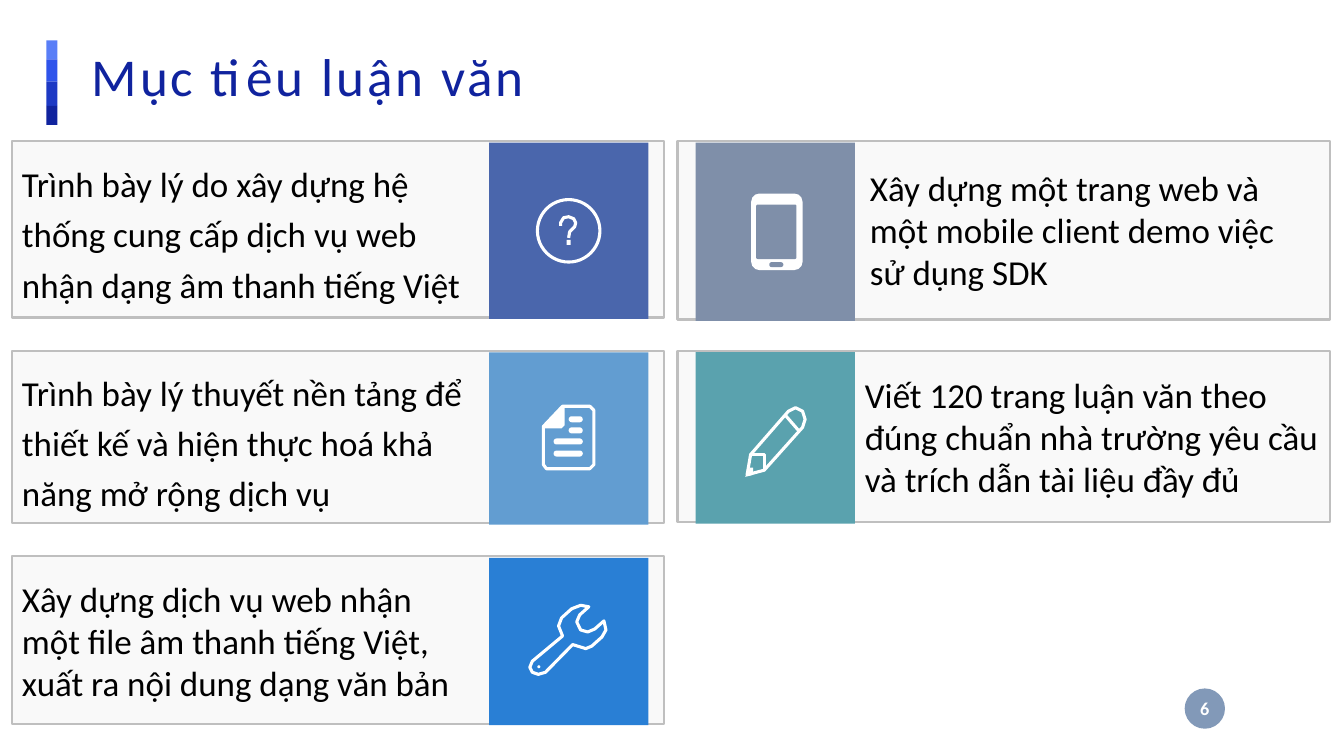
from pptx import Presentation
from pptx.dml.color import RGBColor
from pptx.enum.shapes import MSO_SHAPE
from pptx.enum.text import MSO_ANCHOR, MSO_AUTO_SIZE, PP_ALIGN
from pptx.oxml.ns import qn
from pptx.util import Inches, Pt
from lxml import etree

RECTANGLE, ROUNDED, OVAL = MSO_SHAPE.RECTANGLE, MSO_SHAPE.ROUNDED_RECTANGLE, MSO_SHAPE.OVAL
LEFT, CENTER = PP_ALIGN.LEFT, PP_ALIGN.CENTER
TOP, MIDDLE = MSO_ANCHOR.TOP, MSO_ANCHOR.MIDDLE

THEME = {
    "font": "Calibri", "title_size": 38, "body_size": 25, "number_size": 13,
    "title": "10239E", "body": "000000", "white": "FFFFFF", "badge": "4E6F9B",
    "panel": "F2F2F2", "border": "BFBFBF",
    "accent": ["597EF7", "2F54EB", "1D39C4", "10239E"],
    "question": "4A66AC", "document": "629DD1", "wrench": "297FD5",
    "phone": "7F8FA9", "pencil": "5AA2AE",
}
ICON_LINE = 2.2

presentation = Presentation()
presentation.slide_width, presentation.slide_height = Inches(13.33), Inches(7.5)
slide = presentation.slides.add_slide(presentation.slide_layouts[5])


def add_block(kind, box, fill=None, opacity=100, line=None, line_width=1.5):
    """Add a flat preset shape; box is left, top, width, height in inches."""
    shape = slide.shapes.add_shape(kind, *(Inches(length) for length in box))
    shape.shadow.inherit = False
    if fill:
        shape.fill.solid()
        shape.fill.fore_color.rgb = RGBColor.from_string(fill)
        if opacity < 100:
            color = shape.fill._xPr.find(qn("a:solidFill"))[0]
            etree.SubElement(color, qn("a:alpha")).set("val", str(opacity * 1000))
    else:
        shape.fill.background()
    if line:
        shape.line.color.rgb = RGBColor.from_string(line)
        shape.line.width = Pt(line_width)
    else:
        shape.line.fill.background()
    return shape


def add_outline(origin, points, close=True, filled=False):
    """Draw a white icon part; points are hundredths of an inch from origin."""
    corners = [(Inches(origin[0] + x / 100), Inches(origin[1] + y / 100)) for x, y in points]
    builder = slide.shapes.build_freeform(*corners[0], scale=1.0)
    builder.add_line_segments(corners[1:], close=close)
    shape = builder.convert_to_shape()
    shape.shadow.inherit = False
    white = RGBColor.from_string(THEME["white"])
    if filled:
        shape.fill.solid()
        shape.fill.fore_color.rgb = white
        shape.line.fill.background()
    else:
        shape.fill.background()
        shape.line.color.rgb = white
        shape.line.width = Pt(ICON_LINE)


# Accent bar beside the title
bar_edges = [0.4, 0.59, 0.81, 1.05, 1.24]
for color, top, bottom in zip(THEME["accent"], bar_edges, bar_edges[1:]):
    add_block(RECTANGLE, (0.46, top, 0.11, bottom - top), color)

# Title and page number
title = slide.shapes.title
title.left, title.top, title.width, title.height = (
    Inches(length) for length in (0.81, 0.4, 11.21, 0.84))
badge = add_block(OVAL, (11.75, 6.83, 0.4, 0.4), THEME["badge"], opacity=70)
badge.text_frame.margin_left = badge.text_frame.margin_right = Inches(0.02)
title.text_frame.margin_top = title.text_frame.margin_bottom = Inches(0.1)

# Each goal: column, row, height, tile, text offset from the panel, text width, spacing
COLUMNS = [0.12, 6.72]
TILE_OFFSETS = [4.73, 0.18]
ROWS = [1.4, 3.48, 5.52]
PANEL_WIDTH, TILE_WIDTH = 6.47, 1.58
goals = [
    (0, 0, 1.75, "question", (0, 0.08), 4.6, 1.2,
     "Trình bày lý do xây dựng hệ thống cung cấp dịch vụ web nhận dạng âm thanh tiếng Việt"),
    (0, 1, 1.71, "document", (0, 0.07), 4.6, 1.2,
     "Trình bày lý thuyết nền tảng để thiết kế và hiện thực hoá khả năng mở rộng dịch vụ"),
    (0, 2, 1.66, "wrench", (0, 0.16), 4.6, 1,
     "Xây dựng dịch vụ web nhận một file âm thanh tiếng Việt, xuất ra nội dung dạng văn bản"),
    (1, 0, 1.77, "phone", (1.81, 0.2), 4.55, 1,
     "Xây dựng một trang web và một mobile client demo việc sử dụng SDK"),
    (1, 1, 1.7, "pencil", (1.76, 0.18), 4.71, 1,
     "Viết 120 trang luận văn theo đúng chuẩn nhà trường yêu cầu và trích dẫn tài liệu đầy đủ"),
]

# Texts: shape, words, size, colour, bold, alignment, anchor, line spacing
texts = [
    (title, "Mục tiêu luận văn", THEME["title_size"], THEME["title"], False, LEFT, TOP, 0.9),
    (badge, "6", THEME["number_size"], THEME["white"], True, CENTER, MIDDLE, 1),
]
for column, row, height, tile, (shift, drop), width, spacing, words in goals:
    left, top = COLUMNS[column], ROWS[row]
    add_block(RECTANGLE, (left, top, PANEL_WIDTH, height), THEME["panel"], 40, THEME["border"])
    add_block(RECTANGLE, (left + TILE_OFFSETS[column], top + 0.015, TILE_WIDTH, height),
              THEME[tile])
    caption = slide.shapes.add_textbox(Inches(left + shift), Inches(top + drop), Inches(width),
                                       Inches(1.58 if spacing > 1 else 1.36))
    texts.append((caption, words, THEME["body_size"], THEME["body"], False, LEFT, TOP, spacing))

for shape, words, size, color, bold, alignment, anchor, spacing in texts:
    frame = shape.text_frame
    frame.word_wrap = True
    frame.auto_size = MSO_AUTO_SIZE.NONE
    frame.vertical_anchor = anchor
    paragraph = frame.paragraphs[0]
    paragraph.alignment = alignment
    paragraph.line_spacing = spacing
    run = paragraph.add_run()
    run.text = words
    run.font.name, run.font.size, run.font.bold = THEME["font"], Pt(size), bold
    run.font.color.rgb = RGBColor.from_string(color)
    if shape is title:
        run._r.get_or_add_rPr().set("spc", "200")

# Question icon
add_block(OVAL, (5.33, 1.98, 0.62, 0.62), line=THEME["white"], line_width=ICON_LINE)
question = (5.32, 1.96)
add_outline(question, [(24, 28), (24, 25), (27, 20), (32, 19), (37, 21), (39, 25),
                       (38, 29), (33, 34), (32, 40)], close=False)
add_block(RECTANGLE, (5.62, 2.38, 0.04, 0.05), THEME["white"])

# Document icon
document = (5.37, 4.01)
add_outline(document, [(21, 2), (48, 2), (52, 6), (52, 60), (48, 64), (5, 64), (2, 60), (2, 22)])
add_outline(document, [(3, 22), (21, 3), (23, 3), (23, 21), (20, 24), (3, 24)], filled=True)
for left, top, width in [(5.64, 4.13, 0.14), (5.64, 4.24, 0.14),
                         (5.49, 4.35, 0.29), (5.49, 4.47, 0.29)]:
    text_line = add_block(ROUNDED, (left, top, width, 0.06), THEME["white"])
    text_line.adjustments[0] = 0.5

# Wrench icon
wrench = (5.24, 5.99)
add_outline(wrench, [
    (75, 17), (66, 25), (59, 28), (52, 26), (48, 18), (51, 11), (60, 3), (52, 1.5), (43, 5),
    (33, 14), (30, 22), (34, 32), (4, 57), (1.5, 63), (4, 68), (10, 70), (17, 68), (44, 40.5),
    (57, 44.5), (63, 42), (73, 33), (77, 26)])
add_block(OVAL, (5.33, 6.6, 0.03, 0.03), THEME["white"])

# Phone icon
for box, fill, corner in [((7.45, 1.92, 0.51, 0.76), THEME["white"], 0.16),
                          ((7.5, 2.03, 0.4, 0.54), THEME["phone"], 0.04),
                          ((7.63, 2.6, 0.14, 0.05), THEME["phone"], 0.5)]:
    part = add_block(ROUNDED, box, fill)
    part.adjustments[0] = corner

# Pencil icon
pencil = (7.39, 4.03)
add_outline(pencil, [(50, 1.5), (43, 5), (5.5, 48), (2, 68), (19, 63.5), (57, 21),
                     (59.5, 13), (57, 5)])
add_outline(pencil, [(40, 9), (53, 24)], close=False)
add_outline(pencil, [(6, 47.5), (19.5, 47.5), (19.5, 63)], close=False)
add_outline(pencil, [(0, 70), (5, 61), (8, 61), (8, 68)], filled=True)

presentation.save("out.pptx")
